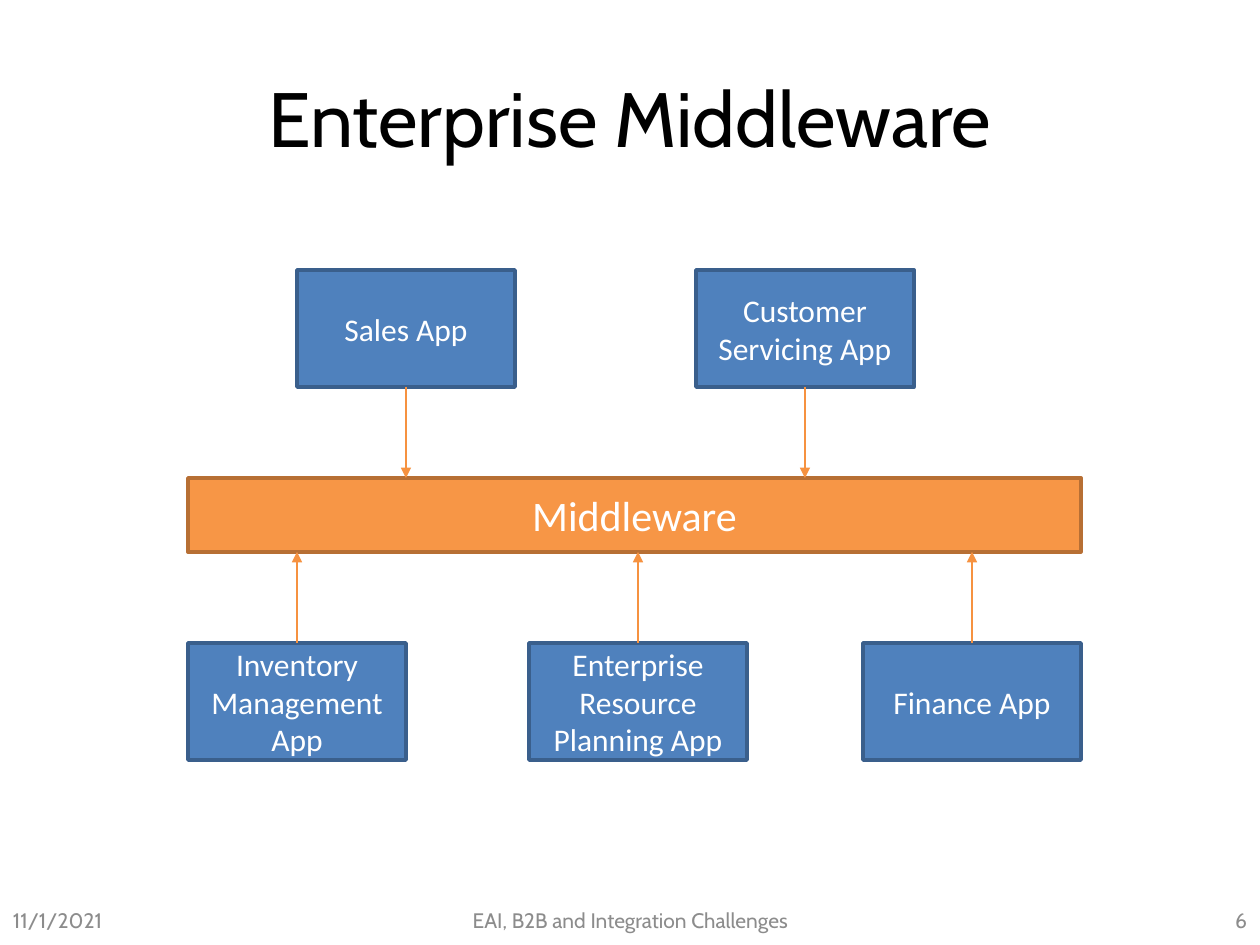
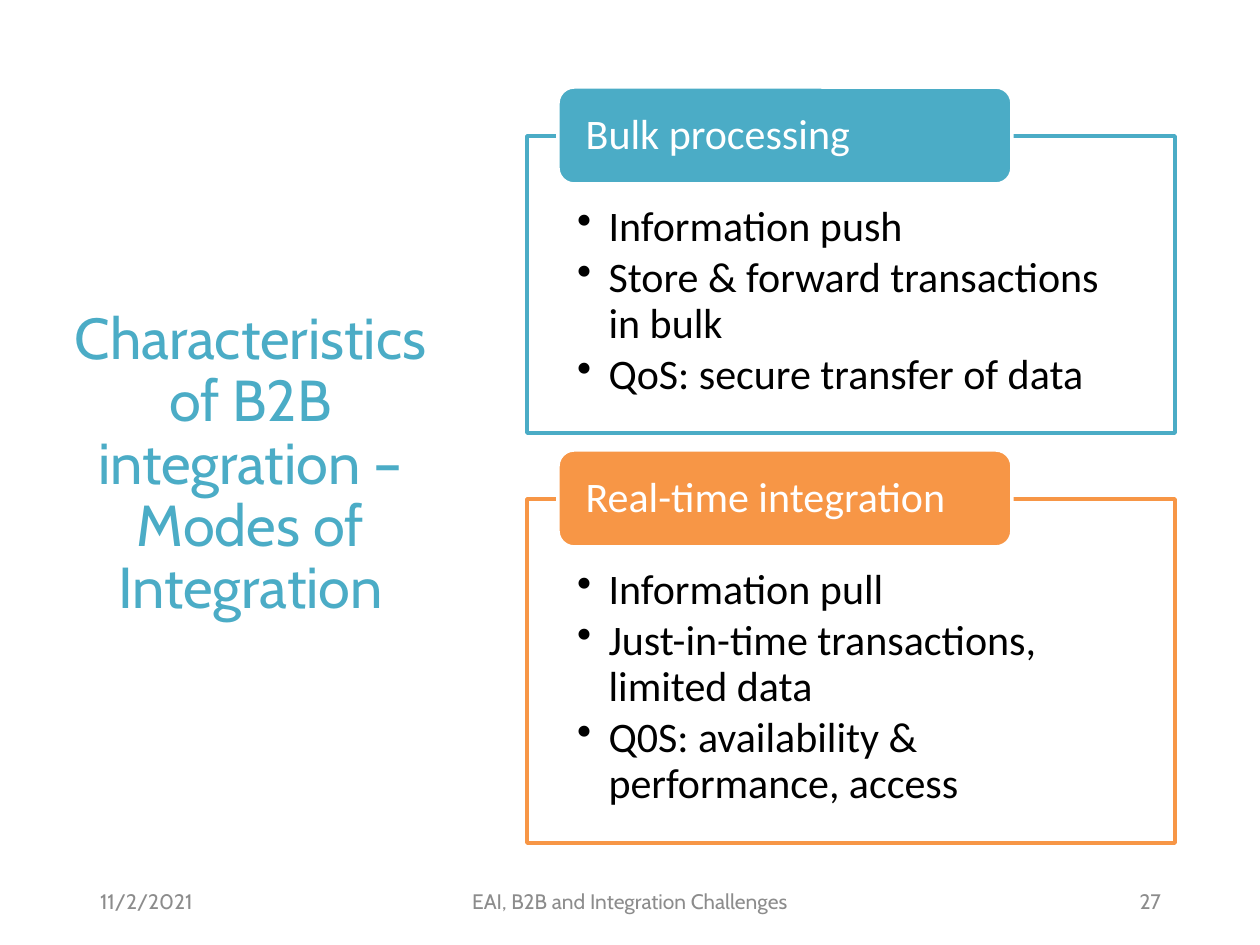
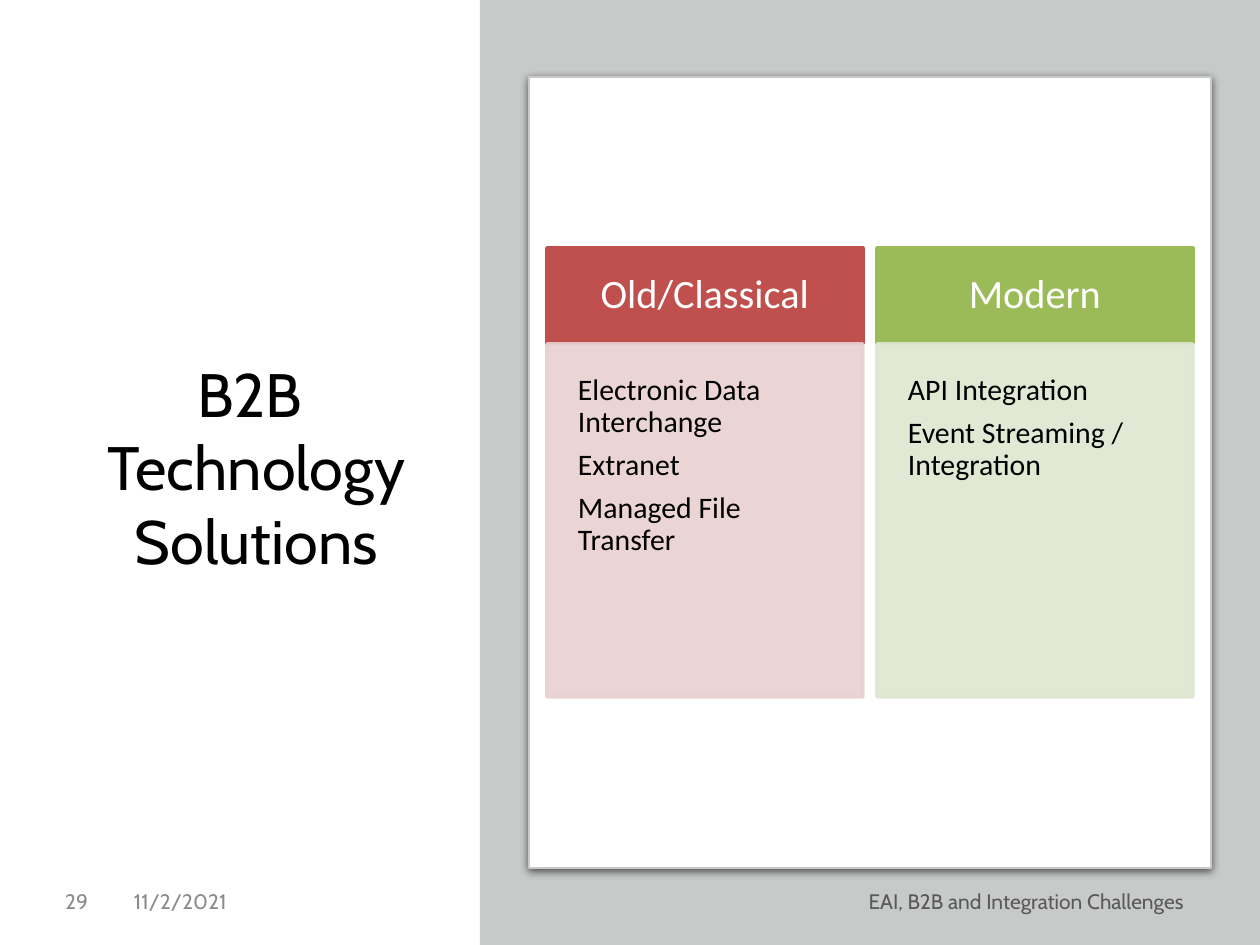
from lxml import etree
from pptx import Presentation
from pptx.dml.color import RGBColor
from pptx.enum.shapes import MSO_CONNECTOR, MSO_SHAPE
from pptx.enum.text import MSO_ANCHOR as ANCHOR, PP_ALIGN as ALIGN
from pptx.oxml.ns import qn
from pptx.util import Emu, Pt

SCALE = 914400 / 126  # EMU per px

BLACK = RGBColor(0x00, 0x00, 0x00)
WHITE = RGBColor(0xFF, 0xFF, 0xFF)
GREY = RGBColor(0x8C, 0x8C, 0x8C)
DARK_GREY = RGBColor(0x59, 0x59, 0x59)
SILVER = RGBColor(0xC8, 0xCA, 0xCA)
BLUE = RGBColor(0x4F, 0x81, 0xBD)
NAVY = RGBColor(0x3A, 0x5F, 0x8C)
TEAL = RGBColor(0x4B, 0xAC, 0xC6)
ORANGE = RGBColor(0xF7, 0x96, 0x46)
BROWN = RGBColor(0xB7, 0x6F, 0x34)
ARROW = RGBColor(0xF6, 0x92, 0x40)
RED = RGBColor(0xC0, 0x50, 0x4D)
PINK = RGBColor(0xE8, 0xD0, 0xD0)
GREEN = RGBColor(0x9B, 0xBB, 0x59)
PALE_GREEN = RGBColor(0xDE, 0xE7, 0xD1)

HEAD_FONT, BODY_FONT = "Cabin", "Calibri"


def add_box(s, rect, fill, line=None, weight=2, kind=MSO_SHAPE.RECTANGLE):
    sp = s.shapes.add_shape(kind, *[Emu(round(v * SCALE)) for v in rect])
    sp.shadow.inherit = False
    sp.fill.solid()
    sp.fill.fore_color.rgb = fill
    if line is None:
        sp.line.fill.background()
    else:
        sp.line.color.rgb = line
        sp.line.width = Pt(weight)
    return sp


def write(sp, lines, size, color, font=BODY_FONT, align=ALIGN.CENTER, anchor=ANCHOR.MIDDLE,
          insets=(13, 6, 13, 6), spacing=1.0, after=0, bullet=False):
    tf = sp.text_frame
    tf.word_wrap = True
    tf.vertical_anchor = anchor
    (tf.margin_left, tf.margin_top,
     tf.margin_right, tf.margin_bottom) = [Emu(round(v * SCALE)) for v in insets]
    for i, line in enumerate(lines):
        p = tf.paragraphs[0] if i == 0 else tf.add_paragraph()
        p.text = line
        p.alignment = align
        p.line_spacing = spacing
        p.space_after = Pt(after)
        p.font.name = font
        p.font.size = Pt(size)
        p.font.color.rgb = color
        if bullet:
            pPr = p._p.get_or_add_pPr()
            pPr.set("marL", "228600")
            pPr.set("indent", "-228600")
            bu = pPr.makeelement(qn("a:buChar"), {"char": "•"})
            pPr.find(qn("a:defRPr")).addprevious(bu)


prs = Presentation()
prs.slide_width = Emu(round(1260 * SCALE))
prs.slide_height = Emu(round(945 * SCALE))
middleware, modes, solutions = [prs.slides.add_slide(prs.slide_layouts[6]) for _ in range(3)]

# Slide 1: apps above and below the middleware bar
APP_W, APP_H = 218, 117
BAR_TOP, BAR_H = 478, 74
bar = add_box(middleware, (188, BAR_TOP, 893, BAR_H), ORANGE, BROWN)
write(bar, ["Middleware"], 24, WHITE)

for name, x, y in [
    ("Sales App", 297, 270),
    ("Customer Servicing App", 696, 270),
    ("Inventory Management App", 188, 643),
    ("Enterprise Resource Planning App", 529, 643),
    ("Finance App", 863, 643),
]:
    app = add_box(middleware, (x, y, APP_W, APP_H), BLUE, NAVY)
    write(app, [name], 18, WHITE)
    mid = x + APP_W // 2
    start, end = (y + APP_H, BAR_TOP) if y < BAR_TOP else (y, BAR_TOP + BAR_H)
    arrow = middleware.shapes.add_connector(
        MSO_CONNECTOR.STRAIGHT, *[Emu(round(v * SCALE)) for v in (mid, start, mid, end)])
    arrow.line.color.rgb = ARROW
    arrow.line.width = Pt(0.75)
    etree.SubElement(arrow.line._get_or_add_ln(), qn("a:tailEnd"), type="triangle")
    etree.SubElement(arrow._element.spPr, qn("a:effectLst"))

# Slide 2: outlined panels, each with a tab on its top edge
for tab_text, color, y, h, points in [
    ("Bulk processing", TEAL, 136, 297,
     ["Information push", "Store & forward transactions in bulk",
      "QoS: secure transfer of data"]),
    ("Real-time integration", ORANGE, 499, 344,
     ["Information pull", "Just-in-time transactions, limited data",
      "Q0S: availability & performance, access"]),
]:
    panel = add_box(modes, (527, y, 648, h), WHITE, color)
    write(panel, points, 24, BLACK, align=ALIGN.LEFT, anchor=ANCHOR.TOP,
          insets=(50, 69, 50, 24), spacing=0.9, after=3.6, bullet=True)
    tab = add_box(modes, (558, y - 49, 454, 97), color, WHITE, kind=MSO_SHAPE.ROUNDED_RECTANGLE)
    write(tab, [tab_text], 24, WHITE, align=ALIGN.LEFT, insets=(23, 5, 23, 5), spacing=0.9)

# Slide 3: card with a soft shadow on a grey side panel
add_box(solutions, (480, 0, 780, 945), SILVER)
card = add_box(solutions, (529, 77, 682, 791), WHITE, SILVER, 0.75)
shadow = etree.SubElement(card._element.spPr.find(qn("a:effectLst")), qn("a:outerShdw"),
                          blurRad="57150", dist="19050", dir="5400000", algn="t", rotWithShape="0")
shadow_color = etree.SubElement(shadow, qn("a:srgbClr"), val="000000")
etree.SubElement(shadow_color, qn("a:alpha"), val="63000")

# Slide 3: two columns
for i, (heading, color, tint, items) in enumerate([
    ("Old/Classical", RED, PINK,
     ["Electronic Data Interchange", "Extranet", "Managed File Transfer"]),
    ("Modern", GREEN, PALE_GREEN,
     ["API Integration", "Event Streaming / Integration"]),
]):
    x = 547 + i * 330
    header = add_box(solutions, (x, 248, 316, 95), color, color)
    write(header, [heading], 23, WHITE, insets=(25, 25, 25, 25), spacing=0.9)
    body = add_box(solutions, (x, 344, 316, 353), tint, tint)
    for clr in body._element.spPr.iter(qn("a:srgbClr")):
        etree.SubElement(clr, qn("a:alpha"), val="90000")
    write(body, items, 17, BLACK, align=ALIGN.LEFT, anchor=ANCHOR.TOP,
          insets=(31, 31, 31, 31), spacing=0.9, after=6)

# Titles and footers
FOOTER = "EAI, B2B and Integration Challenges"
for s, title, rect, size, color, spacing, footer_y, footers in [
    (middleware, "Enterprise Middleware", (63, 38, 1134, 158), 44, BLACK, 1.0, 895,
     [("11/1/2021", 0, 294, ALIGN.LEFT, GREY),
      (FOOTER, 431, 399, ALIGN.CENTER, GREY),
      ("6", 966, 294, ALIGN.RIGHT, GREY)]),
    (modes, "Characteristics of B2B integration – Modes of Integration",
     (54, 86, 393, 759), 33, TEAL, 0.9, 876,
     [("11/2/2021", 87, 284, ALIGN.LEFT, GREY),
      (FOOTER, 417, 426, ALIGN.CENTER, GREY),
      ("27", 890, 284, ALIGN.RIGHT, GREY)]),
    (solutions, "B2B \vTechnology Solutions", (67, 87, 379, 759), 35, BLACK, 1.0, 876,
     [("29", 30, 71, ALIGN.RIGHT, GREY),
      ("11/2/2021", 121, 296, ALIGN.LEFT, GREY),
      (FOOTER, 513, 684, ALIGN.RIGHT, DARK_GREY)]),
]:
    sp = s.shapes.add_textbox(*[Emu(round(v * SCALE)) for v in rect])
    write(sp, [title], size, color, HEAD_FONT, spacing=spacing)
    for text, x, w, align, footer_color in footers:
        sp = s.shapes.add_textbox(*[Emu(round(v * SCALE)) for v in (x, footer_y, w, 50)])
        write(sp, [text], 12, footer_color, HEAD_FONT, align)

prs.save("out.pptx")
